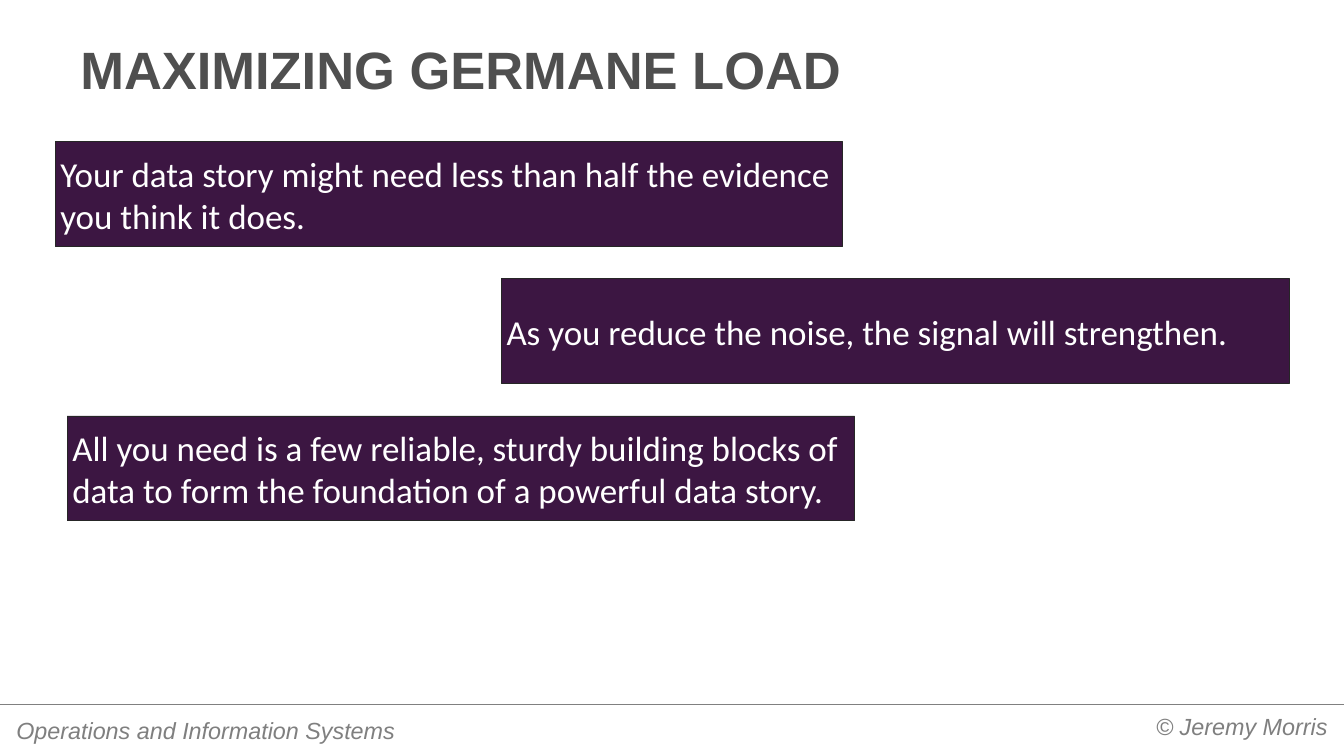
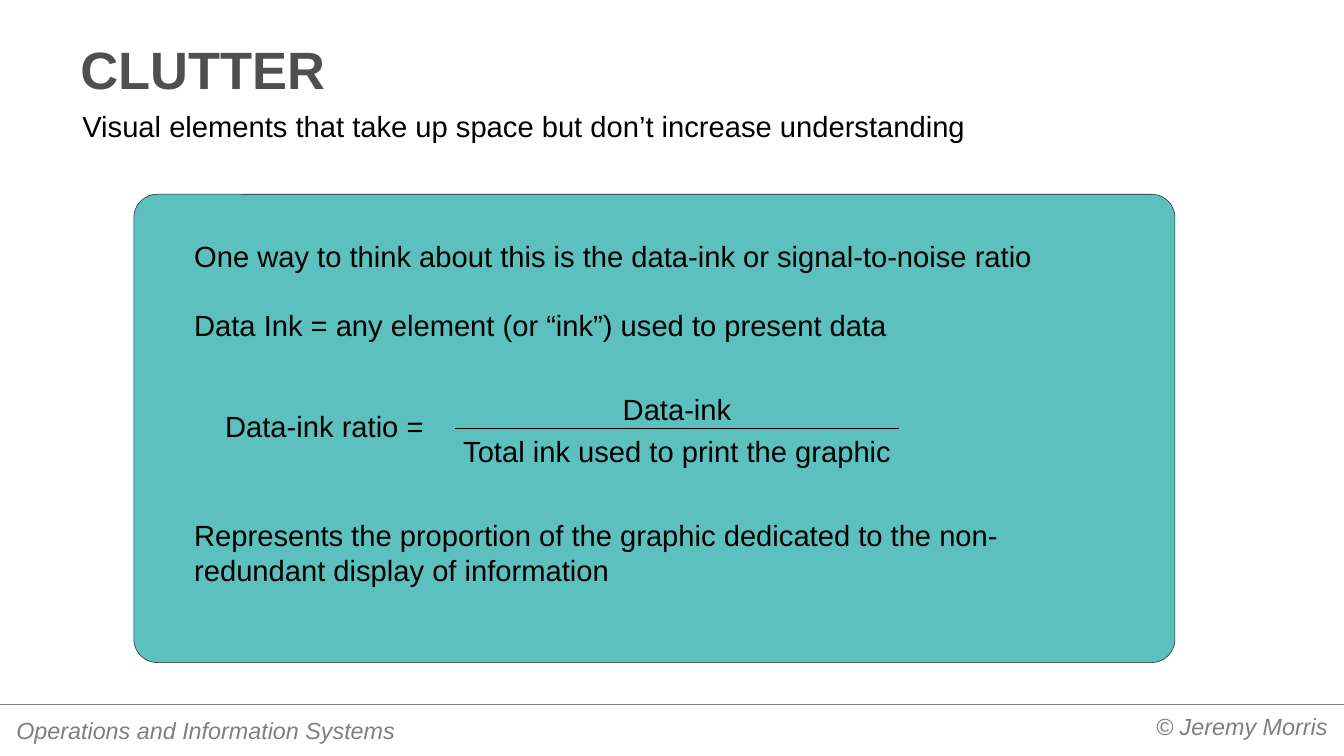
from dataclasses import dataclass

from lxml.etree import SubElement
from pptx import Presentation
from pptx.dml.color import RGBColor as RGB
from pptx.enum.shapes import MSO_CONNECTOR, MSO_SHAPE as Shape
from pptx.enum.text import MSO_ANCHOR as Anchor, PP_ALIGN as Align
from pptx.oxml.ns import qn
from pptx.util import Emu, Pt

EMU_PER_PX = 9144  # 100 px to the inch
WIDTH, HEIGHT = 2560, 1440


def px(length):
    return Emu(length * EMU_PER_PX)


@dataclass(frozen=True)
class TextStyle:
    size: int
    color: str
    font: str = "Arial"
    bold: bool = False
    italic: bool = False


@dataclass(frozen=True)
class Theme:
    title: TextStyle = TextStyle(72, "4F4F4F", bold=True)
    body: TextStyle = TextStyle(40, "000000")
    message: TextStyle = TextStyle(48, "FFFFFF", font="Calibri")
    footer: TextStyle = TextStyle(32, "7F7F7F", italic=True)
    message_fill: str = "3C1642"
    panel_fill: str = "5BC0BE"
    outline: str = "262626"
    footer_rule: str = "808080"
    fraction_rule: str = "000000"
    line_width: float = 0.75
    paragraph_gap: int = 46
    message_gap: int = 6


class Deck:
    def __init__(self, theme):
        self.theme = theme
        self.presentation = Presentation()
        self.presentation.slide_width = px(WIDTH)
        self.presentation.slide_height = px(HEIGHT)
        self.slide = None

    def add_slide(self, title):
        """Start a slide with the shared footer and title."""
        blank = self.presentation.slide_layouts[6]
        self.slide = self.presentation.slides.add_slide(blank)
        footer = self.theme.footer
        self.rule(0, WIDTH, 1341, self.theme.footer_rule)
        self.text(["© Jeremy Morris"], 1458, 1348, 1089, 72, footer,
                  align=Align.RIGHT, insets=(18, 9))
        self.text(["Operations and Information Systems"], 13, 1356, 875, 72,
                  footer, insets=(18, 9))
        self.text([title], 128, 53, 2304, 149, self.theme.title,
                  anchor=Anchor.BOTTOM, insets=(25, 12))

    def rule(self, left, right, y, color):
        line = self.slide.shapes.add_connector(
            MSO_CONNECTOR.STRAIGHT, px(left), px(y), px(right), px(y))
        line.line.color.rgb = RGB.from_string(color)
        line.line.width = Pt(self.theme.line_width)
        SubElement(line._element.spPr, qn("a:effectLst"))

    def text(self, paragraphs, left, top, width, height, style=None,
             align=Align.LEFT, anchor=Anchor.TOP, insets=(10, 5)):
        box = self.slide.shapes.add_textbox(
            px(left), px(top), px(width), px(height))
        self.fill_frame(box.text_frame, paragraphs, style or self.theme.body,
                        align, anchor, insets)

    def fill_frame(self, frame, paragraphs, style, align, anchor, insets):
        frame.word_wrap = True
        frame.vertical_anchor = anchor
        frame.margin_left = frame.margin_right = px(insets[0])
        frame.margin_top = frame.margin_bottom = px(insets[1])
        frame.text = "\n".join(paragraphs)
        for index, paragraph in enumerate(frame.paragraphs):
            paragraph.alignment = align
            if index:
                paragraph.space_before = Pt(self.theme.paragraph_gap)
            for run in paragraph.runs:
                font = run.font
                font.name, font.size = style.font, Pt(style.size)
                font.bold, font.italic = style.bold, style.italic
                font.color.rgb = RGB.from_string(style.color)

    def block(self, kind, left, top, width, height, fill):
        shape = self.slide.shapes.add_shape(
            kind, px(left), px(top), px(width), px(height))
        shape.shadow.inherit = False
        shape.fill.solid()
        shape.fill.fore_color.rgb = RGB.from_string(fill)
        shape.line.color.rgb = RGB.from_string(self.theme.outline)
        shape.line.width = Pt(self.theme.line_width)
        return shape

    def message(self, words, left, top):
        banner = self.block(Shape.RECTANGLE, left, top, 1500, 200,
                            self.theme.message_fill)
        frame = banner.text_frame
        self.fill_frame(frame, [words], self.theme.message, Align.LEFT,
                        Anchor.MIDDLE, (10, 5))
        frame.paragraphs[0].space_after = Pt(self.theme.message_gap)

    def panel(self, left, top, width, height):
        panel = self.block(Shape.ROUNDED_RECTANGLE, left, top, width, height,
                           self.theme.panel_fill)
        panel.adjustments[0] = 0.05

    def fraction(self, numerator, denominator, left, right, y):
        """Centre two terms above and below a rule at height y."""
        for term, top in ((numerator, y - 75), (denominator, y + 5)):
            self.text([term], left, top, right - left, 77, align=Align.CENTER)
        self.rule(left, right, y, self.theme.fraction_rule)


def germane_load_slide(deck):
    deck.add_slide("MAXIMIZING GERMANE LOAD")
    messages = (
        (105, "Your data story might need less than half the evidence "
              "you think it does."),
        (955, "As you reduce the noise, the signal will strengthen."),
        (128, "All you need is a few reliable, sturdy building blocks of "
              "data to form the foundation of a powerful data story."),
    )
    for row, (left, words) in enumerate(messages):
        deck.message(words, left, 270 + 261 * row)


def clutter_slide(deck):
    deck.add_slide("CLUTTER")
    deck.text(["Visual elements that take up space but don’t increase "
               "understanding"], 147, 202, 1983, 77)
    deck.panel(255, 370, 1983, 892)
    deck.text(["One way to think about this is the data-ink or "
               "signal-to-noise ratio",
               "Data Ink = any element (or “ink”) used to present data"],
              360, 449, 1750, 212)
    deck.text(["Data-ink ratio ="], 419, 772, 451, 77)
    deck.fraction("Data-ink", "Total ink used to print the graphic",
                  867, 1712, 816)
    deck.text(["Represents the proportion of the graphic dedicated to the "
               "non-redundant display of information"],
              360, 980, 1750, 145)


def main():
    deck = Deck(Theme())
    germane_load_slide(deck)
    clutter_slide(deck)
    deck.presentation.save("out.pptx")


if __name__ == "__main__":
    main()
